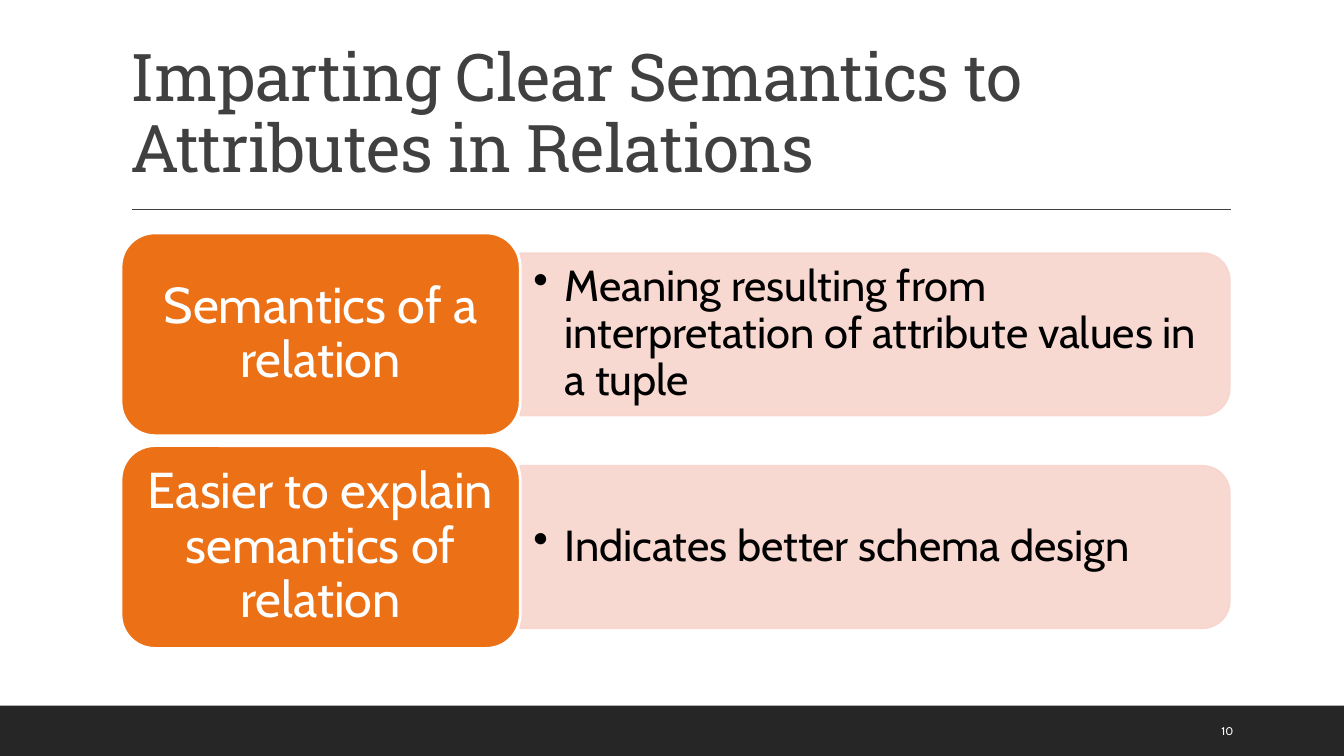
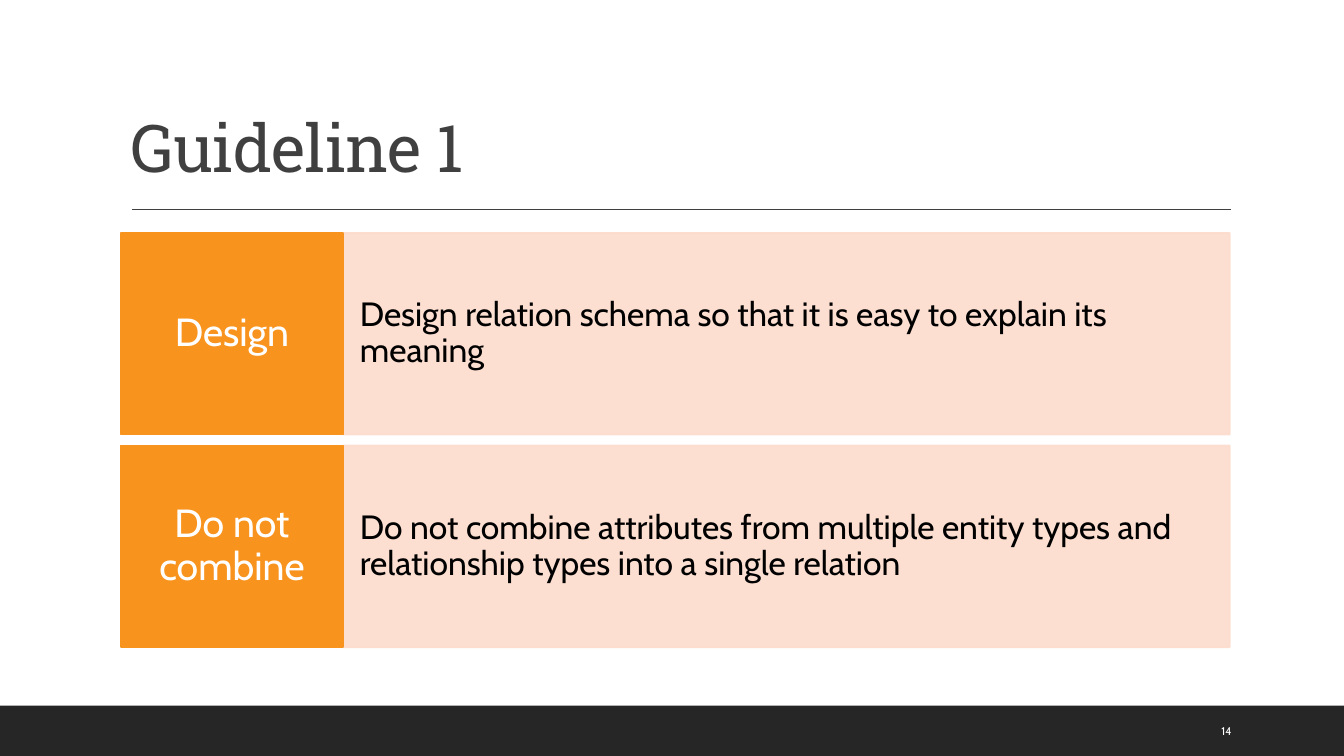
from dataclasses import dataclass

from lxml.etree import SubElement
from pptx import Presentation
from pptx.dml.color import RGBColor
from pptx.enum.shapes import MSO_CONNECTOR, MSO_SHAPE
from pptx.enum.text import MSO_ANCHOR, PP_ALIGN
from pptx.oxml.ns import qn
from pptx.util import Cm, Pt

WHITE, BLACK, CHARCOAL, GREY = "FFFFFF", "000000", "262626", "404040"
BODY_FONT, TITLE_FONT = "Cabin", "Roboto Slab"
ROW_LEFT, ROW_TOP, ROW_PITCH = 3.05, 5.87, 5.36


@dataclass(frozen=True)
class Box:
    """A rectangle in centimetres."""
    left: float
    top: float
    width: float
    height: float

    def lengths(self):
        return Cm(self.left), Cm(self.top), Cm(self.width), Cm(self.height)


@dataclass(frozen=True)
class TextStyle:
    size: float
    color: str
    font: str = BODY_FONT
    align: PP_ALIGN = PP_ALIGN.LEFT
    anchor: MSO_ANCHOR = MSO_ANCHOR.MIDDLE
    inset_x: float = 0.25
    inset_y: float = 0.13
    line_spacing: float = 0.9
    tracking: int = 0
    bullet_indent: float = 0


@dataclass(frozen=True)
class Row:
    label: str
    detail: str


TITLE = TextStyle(47, GREY, TITLE_FONT, anchor=MSO_ANCHOR.BOTTOM, tracking=-50)
PAGE_NUMBER = TextStyle(8, WHITE, line_spacing=1)
ROUND_LABEL = TextStyle(36, WHITE, align=PP_ALIGN.CENTER, inset_x=0.38, inset_y=0.18)
ROUND_DETAIL = TextStyle(31, BLACK, inset_x=0.33, inset_y=0.15, bullet_indent=0.79)
SQUARE_LABEL = TextStyle(28, WHITE, align=PP_ALIGN.CENTER, inset_x=0.3, inset_y=0.51)
SQUARE_DETAIL = TextStyle(24, BLACK, inset_x=0.43, inset_y=1.3)


def rgb(color: str) -> RGBColor:
    return RGBColor.from_string(color)


def write(shape, text: str, style: TextStyle) -> None:
    frame = shape.text_frame
    frame.text = text
    frame.word_wrap = True
    frame.vertical_anchor = style.anchor
    frame.margin_left = frame.margin_right = Cm(style.inset_x)
    frame.margin_top = frame.margin_bottom = Cm(style.inset_y)
    paragraph = frame.paragraphs[0]
    paragraph.alignment = style.align
    paragraph.line_spacing = style.line_spacing
    run = paragraph.runs[0]
    run.font.size = Pt(style.size)
    run.font.name = style.font
    run.font.color.rgb = rgb(style.color)
    if style.tracking:
        run.font._element.set("spc", str(style.tracking))
    if style.bullet_indent:
        properties = paragraph._p.get_or_add_pPr()
        properties.set("marL", str(Cm(style.bullet_indent)))
        properties.set("indent", str(-Cm(style.bullet_indent)))
        SubElement(properties, qn("a:buChar"), char="•")


def add_text(slide, box: Box, text: str, style: TextStyle) -> None:
    write(slide.shapes.add_textbox(*box.lengths()), text, style)


def add_panel(slide, kind: MSO_SHAPE, box: Box, fill: str, line: str = "",
              line_width: float = 1.25, opacity: int = 100):
    shape = slide.shapes.add_shape(kind, *box.lengths())
    shape.shadow.inherit = False
    shape.fill.solid()
    shape.fill.fore_color.rgb = rgb(fill)
    if line:
        shape.line.color.rgb = rgb(line)
        shape.line.width = Pt(line_width)
    else:
        shape.line.fill.background()
    if opacity < 100:
        for color in shape._element.spPr.iter(qn("a:srgbClr")):
            SubElement(color, qn("a:alpha"), val=str(opacity * 1000))
    return shape


def add_base_slide(presentation, title: str, number: int):
    """Add a slide with the footer band, title, rule and page number."""
    slide = presentation.slides.add_slide(presentation.slide_layouts[6])
    add_panel(slide, MSO_SHAPE.RECTANGLE, Box(0, 17.78, 33.87, 1.27), CHARCOAL)
    rule = slide.shapes.add_connector(
        MSO_CONNECTOR.STRAIGHT, Cm(3.33), Cm(5.28), Cm(31.01), Cm(5.28))
    rule.line.color.rgb = rgb(GREY)
    rule.line.width = Pt(1)
    SubElement(rule._element.spPr, qn("a:effectLst"))
    add_text(slide, Box(ROW_LEFT, 0.79, 27.94, 4.04), title, TITLE)
    add_text(slide, Box(30.53, 17.91, 2.16, 1.02), str(number), PAGE_NUMBER)
    return slide


def add_round_row(slide, top: float, row: Row) -> None:
    label_width, label_height = 10.06, 5.11
    detail_width, detail_height = 17.88, 4.09
    detail_left = ROW_LEFT + label_width
    middle = top + label_height / 2
    # Turned a quarter so that its rounded corners face right
    center = detail_left + detail_width / 2
    turned = Box(center - detail_height / 2, middle - detail_width / 2,
                 detail_height, detail_width)
    panel = add_panel(slide, MSO_SHAPE.ROUND_2_SAME_RECTANGLE, turned,
                      "F8D5CC", "F8D5CC", opacity=90)
    panel.rotation = 90
    text_height = 3.68
    add_text(slide, Box(detail_left, middle - text_height / 2, 17.68, text_height),
             row.detail, ROUND_DETAIL)
    label = add_panel(slide, MSO_SHAPE.ROUNDED_RECTANGLE,
                      Box(ROW_LEFT, top, label_width, label_height),
                      "EC7016", WHITE, line_width=2)
    write(label, row.label, ROUND_LABEL)


def add_square_row(slide, top: float, row: Row) -> None:
    label_width, detail_width, height = 5.59, 22.35, 5.08
    detail = add_panel(slide, MSO_SHAPE.RECTANGLE,
                       Box(ROW_LEFT + label_width, top, detail_width, height),
                       "FCDCCD", "FCDCCD", opacity=90)
    write(detail, row.detail, SQUARE_DETAIL)
    label = add_panel(slide, MSO_SHAPE.RECTANGLE,
                      Box(ROW_LEFT, top, label_width, height), "F8931D", "F8931D")
    write(label, row.label, SQUARE_LABEL)


def main() -> None:
    presentation = Presentation()
    presentation.slide_width = Cm(33.87)
    presentation.slide_height = Cm(19.05)

    # Semantics of relations
    semantics = add_base_slide(
        presentation, "Imparting Clear Semantics to Attributes in Relations", 10)
    semantics_rows = [
        Row("Semantics of a relation",
            "Meaning resulting from interpretation of attribute values in a tuple"),
        Row("Easier to explain semantics of relation",
            "Indicates better schema design"),
    ]
    for index, row in enumerate(semantics_rows):
        add_round_row(semantics, ROW_TOP + index * ROW_PITCH, row)

    # First guideline
    guideline = add_base_slide(presentation, "Guideline 1", 14)
    guideline_rows = [
        Row("Design",
            "Design relation schema so that it is easy to explain its meaning"),
        Row("Do not combine",
            "Do not combine attributes from multiple entity types and "
            "relationship types into a single relation"),
    ]
    for index, row in enumerate(guideline_rows):
        add_square_row(guideline, ROW_TOP + index * ROW_PITCH, row)

    presentation.save("out.pptx")


if __name__ == "__main__":
    main()
